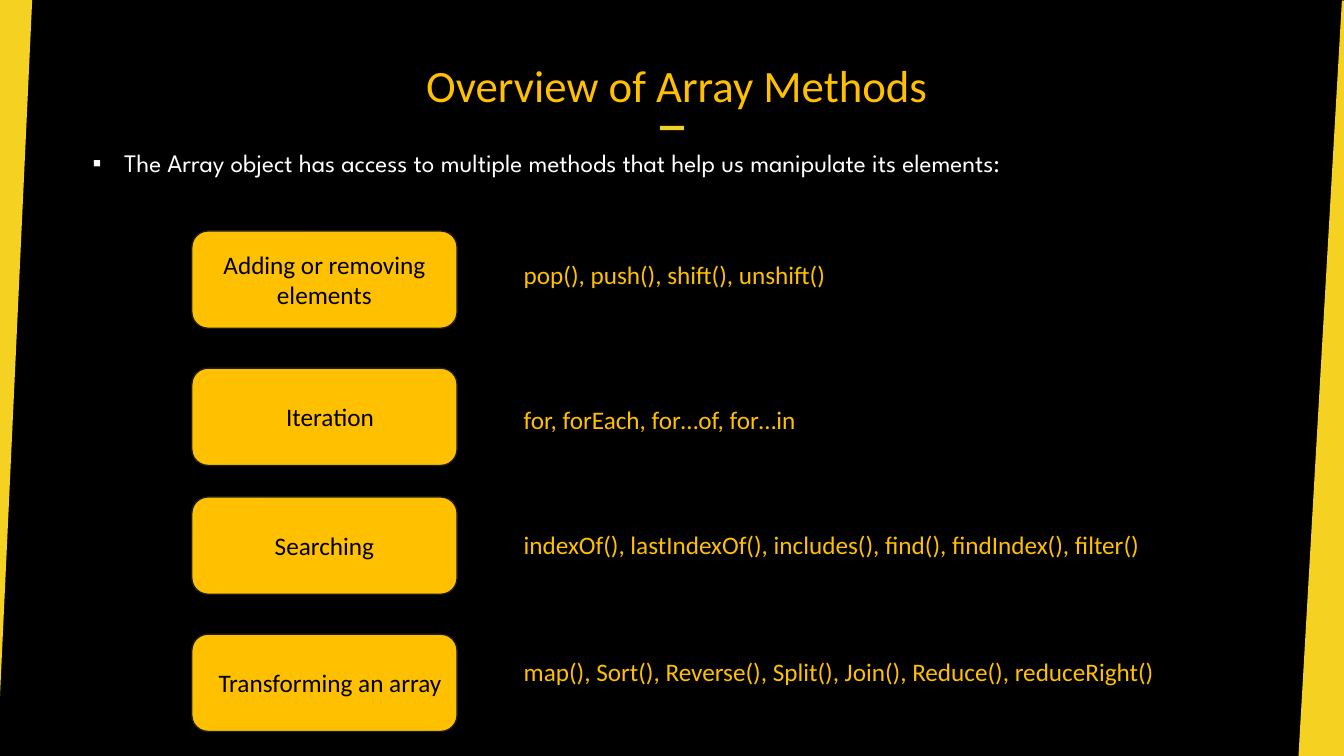
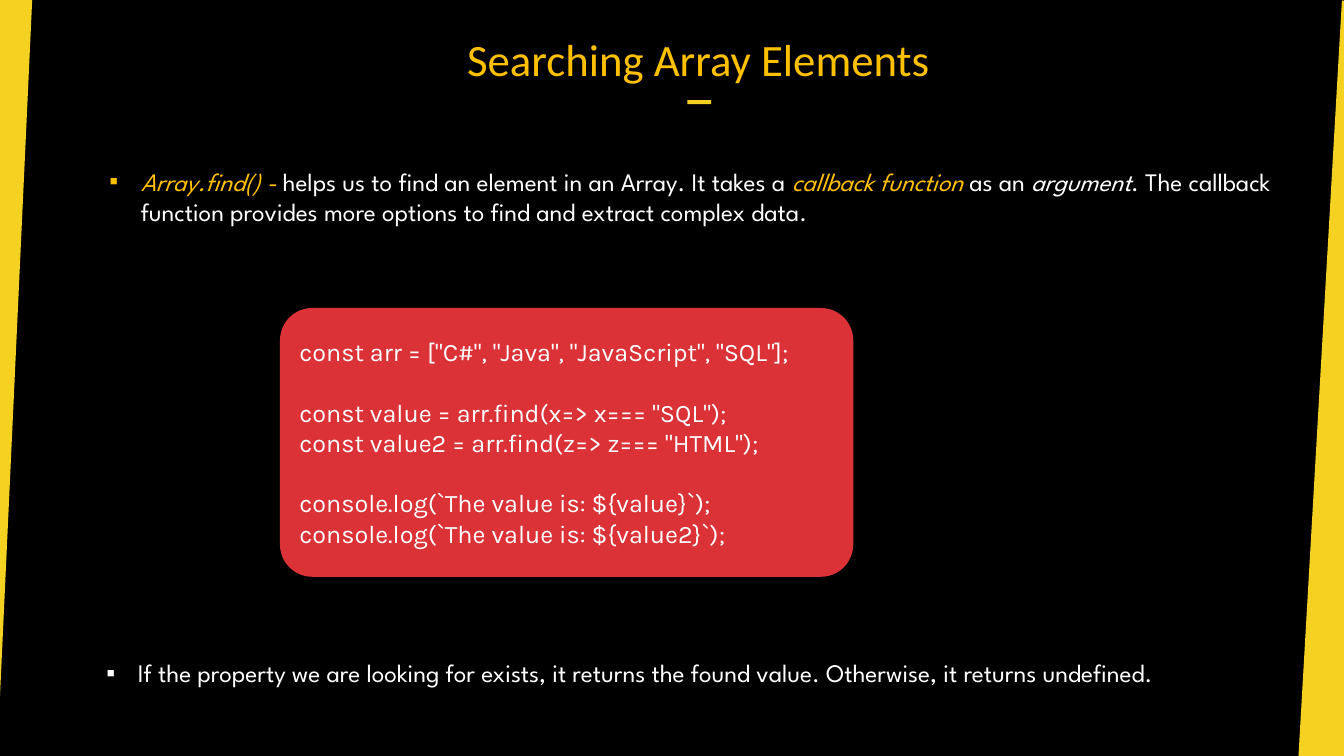
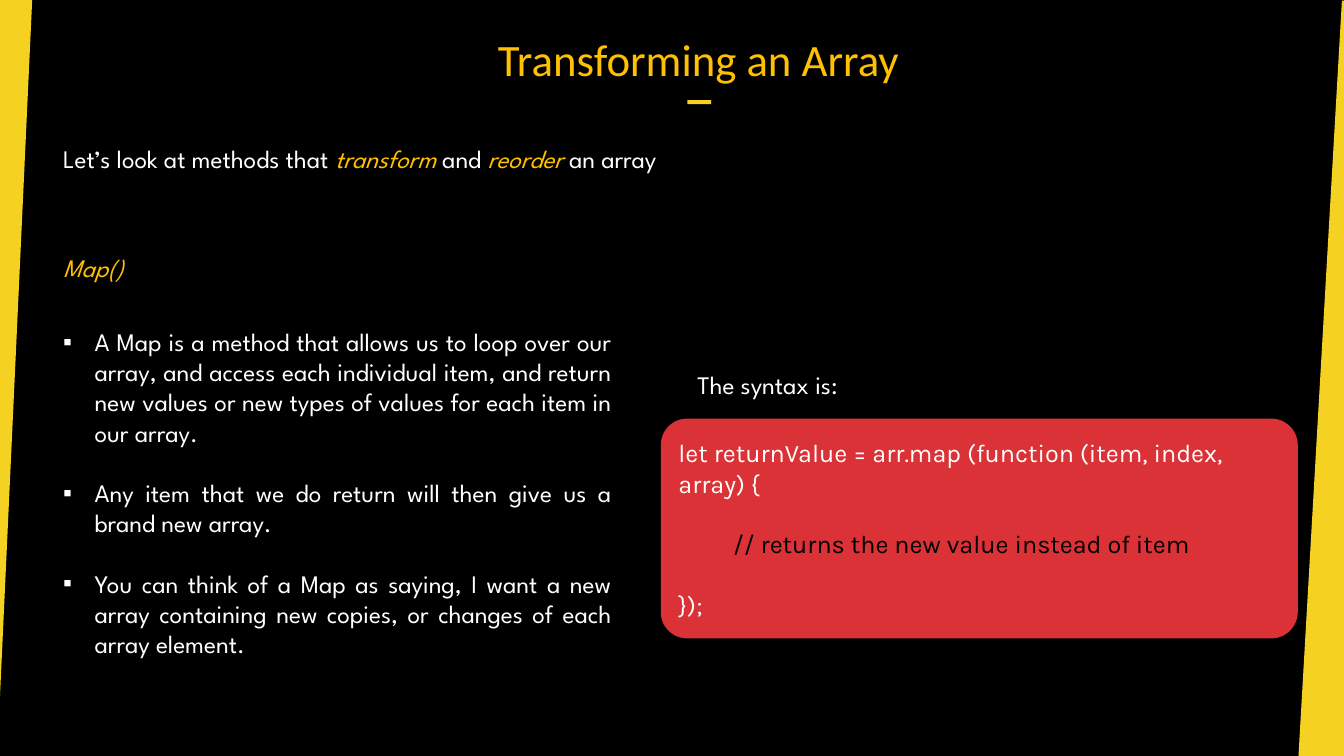
import dataclasses

import pptx
import pptx.dml.color
import pptx.enum.shapes
import pptx.enum.text
import pptx.oxml.ns
import pptx.util
from lxml import etree

Pt = pptx.util.Pt
ALIGN = pptx.enum.text.PP_ALIGN
ANCHOR = pptx.enum.text.MSO_ANCHOR
SHAPES = pptx.enum.shapes.MSO_SHAPE

WIDTH, HEIGHT = 960, 540
BLACK, WHITE = "000000", "FFFFFF"
AMBER, YELLOW, RED, CHARCOAL = "FFC000", "F5D121", "DA3236", "1B1C1B"
LABEL_FONT, BODY_FONT, CODE_FONT = "Calibri", "League Spartan", "Karla"

BANDS = [
    [(0, 0), (23, 0), (0, 497)],
    [(958.5, 0.5), (960, 0.5), (960, 540), (927.5, 540)],
]
TITLE_WIDTH, TITLE_HEIGHT = 500, 54
BAR_WIDTH, BAR_HEIGHT, BAR_DROP = 17, 3, 64.5
BULLET_INDENT = 22.5
BLANK_LINE = 21.6
CATEGORY_LEFT, CATEGORY_WIDTH, CATEGORY_HEIGHT = 137, 189.5, 69.5
METHODS_LEFT, METHODS_WIDTH = 367, 490


@dataclasses.dataclass
class Line:
    """One paragraph; each run is (text, colour) or (text, colour, italic)."""
    runs: list
    gap: float = 0
    indent: float = 0
    bullet: bool = False
    align: int = ALIGN.LEFT


def rgb(value):
    return pptx.dml.color.RGBColor.from_string(value)


def set_attributes(target, values):
    for name, value in values.items():
        setattr(target, name, value)


def paint(shape, fill, line=None):
    shape.shadow.inherit = False
    shape.fill.solid()
    shape.fill.fore_color.rgb = rgb(fill)
    if line:
        shape.line.color.rgb = rgb(line)
        shape.line.width = Pt(1)
    else:
        shape.line.fill.background()


def add_bullet(paragraph):
    properties = paragraph._p.get_or_add_pPr()
    properties.set("indent", str(-Pt(BULLET_INDENT)))
    for tag, name, value in (("a:buFont", "typeface", "Arial"), ("a:buChar", "char", "▪")):
        element = etree.SubElement(properties, pptx.oxml.ns.qn(tag))
        element.set(name, value)


def write(shape, lines, font, size=18, **frame_values):
    """Fill the shape's text frame with the lines."""
    frame = shape.text_frame
    set_attributes(frame, {"word_wrap": True, **frame_values})
    for index, line in enumerate(lines):
        paragraph = frame.add_paragraph() if index else frame.paragraphs[0]
        set_attributes(paragraph, {"alignment": line.align, "space_before": Pt(line.gap)})
        indent = BULLET_INDENT if line.bullet else line.indent
        if indent:
            paragraph._p.get_or_add_pPr().set("marL", str(Pt(indent)))
        if line.bullet:
            add_bullet(paragraph)
        for text, colour, *italic in line.runs:
            run = paragraph.add_run()
            run.text = text
            set_attributes(run.font, {"name": font, "size": Pt(size), "italic": bool(italic)})
            run.font.color.rgb = rgb(colour)


def add_text(slide, left, top, width, height, lines, font=BODY_FONT, **options):
    box = slide.shapes.add_textbox(Pt(left), Pt(top), Pt(width), Pt(height))
    write(box, lines, font, **options)


def add_box(slide, left, top, width, height, fill, line=None, kind=SHAPES.ROUNDED_RECTANGLE):
    box = slide.shapes.add_shape(kind, Pt(left), Pt(top), Pt(width), Pt(height))
    paint(box, fill, line)
    return box


def add_code(slide, left, top, width, height, lines):
    box = add_box(slide, left, top, width, height, RED)
    box.adjustments[0] = 0.12
    write(box, lines, CODE_FONT, vertical_anchor=ANCHOR.MIDDLE)


def add_category(slide, top, name, indent, methods_top, methods):
    box = add_box(slide, CATEGORY_LEFT, top, CATEGORY_WIDTH, CATEGORY_HEIGHT, AMBER, CHARCOAL)
    label = Line([(name, BLACK)], indent=indent, align=ALIGN.CENTER)
    write(box, [label], LABEL_FONT, vertical_anchor=ANCHOR.MIDDLE)
    add_text(slide, METHODS_LEFT, methods_top, METHODS_WIDTH, 29,
             [Line([(methods, AMBER)])], LABEL_FONT)


def start_slide(presentation, title, title_top=7, title_center=499, bar_center=499.5):
    """Add a slide with the side bands, the title and the bar below it."""
    slide = presentation.slides.add_slide(presentation.slide_layouts[6])
    for corners in BANDS:
        points = [(Pt(x), Pt(y)) for x, y in corners]
        builder = slide.shapes.build_freeform(*points[0])
        builder.add_line_segments(points[1:], close=True)
        paint(builder.convert_to_shape(), YELLOW)
    add_box(slide, bar_center - BAR_WIDTH / 2, title_top + BAR_DROP, BAR_WIDTH, BAR_HEIGHT,
            YELLOW, kind=SHAPES.RECTANGLE)
    add_text(slide, title_center - TITLE_WIDTH / 2, title_top, TITLE_WIDTH, TITLE_HEIGHT,
             [Line([(title, AMBER)], align=ALIGN.CENTER)], LABEL_FONT, size=32,
             vertical_anchor=ANCHOR.BOTTOM, margin_top=Pt(3), margin_bottom=0)
    return slide


def build_overview(presentation):
    slide = start_slide(presentation, "Overview of Array Methods", 25.5, 483.5, 480)
    intro = "The Array object has access to multiple methods that help us manipulate its elements:"
    add_text(slide, 59, 102, 879, 29, [Line([(intro, WHITE)], bullet=True)])
    categories = [
        (165, "Adding or removing elements", 0, 182, "pop(), push(), shift(), unshift()"),
        (263, "Iteration", 8, 285, "for, forEach, for…of, for…in"),
        (355, "Searching", 0, 374.5,
         "indexOf(), lastIndexOf(), includes(), find(), findIndex(), filter()"),
        (453, "Transforming an array", 8, 465,
         "map(), Sort(), Reverse(), Split(), Join(), Reduce(), reduceRight()"),
    ]
    for category in categories:
        add_category(slide, *category)


def build_searching(presentation):
    slide = start_slide(presentation, "Searching Array Elements")
    add_text(slide, 71, 115, 856, 51, [Line([
        ("Array.find() - ", AMBER, True),
        ("helps us to find an element in an Array. It takes a ", WHITE),
        ("callback function", AMBER, True),
        (" as an ", WHITE),
        ("argument", WHITE, True),
        (". The callback function provides more options to find and extract complex data.", WHITE),
    ], bullet=True)])
    code = [
        ('const arr = ["C#", "Java", "JavaScript", "SQL"];', 0),
        ('const value = arr.find(x=> x=== "SQL");', BLANK_LINE),
        ('const value2 = arr.find(z=> z=== "HTML");', 0),
        ("console.log(`The value is: ${value}`);", BLANK_LINE),
        ("console.log(`The value is: ${value2}`);", 0),
    ]
    add_code(slide, 200, 220, 409.5, 192, [Line([(text, WHITE)], gap) for text, gap in code])
    result = ("If the property we are looking for exists, it returns the found value. "
              "Otherwise, it returns undefined.")
    add_text(slide, 69, 466, 822, 51, [Line([(result, WHITE)], bullet=True)])


def build_transforming(presentation):
    slide = start_slide(presentation, "Transforming an Array")
    add_text(slide, 38, 98.5, 849, 29, [Line([
        ("Let’s look at methods that ", WHITE),
        ("transform", AMBER, True),
        (" and ", WHITE),
        ("reorder", AMBER, True),
        (" an array", WHITE),
    ])])
    add_code(slide, 472, 299, 455, 157, [
        Line([("let returnValue = arr.map (function (item, index, array) {", WHITE)]),
        Line([("// returns the new value instead of item", BLACK)], BLANK_LINE, indent=39),
        Line([("});", WHITE)], BLANK_LINE),
    ])
    add_text(slide, 38, 177, 176, 29, [Line([("Map()", AMBER, True)])])
    add_text(slide, 491, 260, 199, 29, [Line([("The syntax is:", WHITE)])])
    facts = [
        "A Map is a method that allows us to loop over our array, and access each individual "
        "item, and return new values or new types of values for each item in our array.",
        "Any item that we do return will then give us a brand new array.",
        "You can think of a Map as saying, I want a new array containing new copies, "
        "or changes of each array element.",
    ]
    add_text(slide, 38, 229.5, 406, 269, [
        Line([(fact, WHITE)], BLANK_LINE if index else 0, bullet=True, align=ALIGN.JUSTIFY)
        for index, fact in enumerate(facts)
    ])


def main():
    presentation = pptx.Presentation()
    set_attributes(presentation, {"slide_width": Pt(WIDTH), "slide_height": Pt(HEIGHT)})
    background = presentation.slide_master.background.fill
    background.solid()
    background.fore_color.rgb = rgb(BLACK)
    build_overview(presentation)
    build_searching(presentation)
    build_transforming(presentation)
    presentation.save("out.pptx")


if __name__ == "__main__":
    main()
